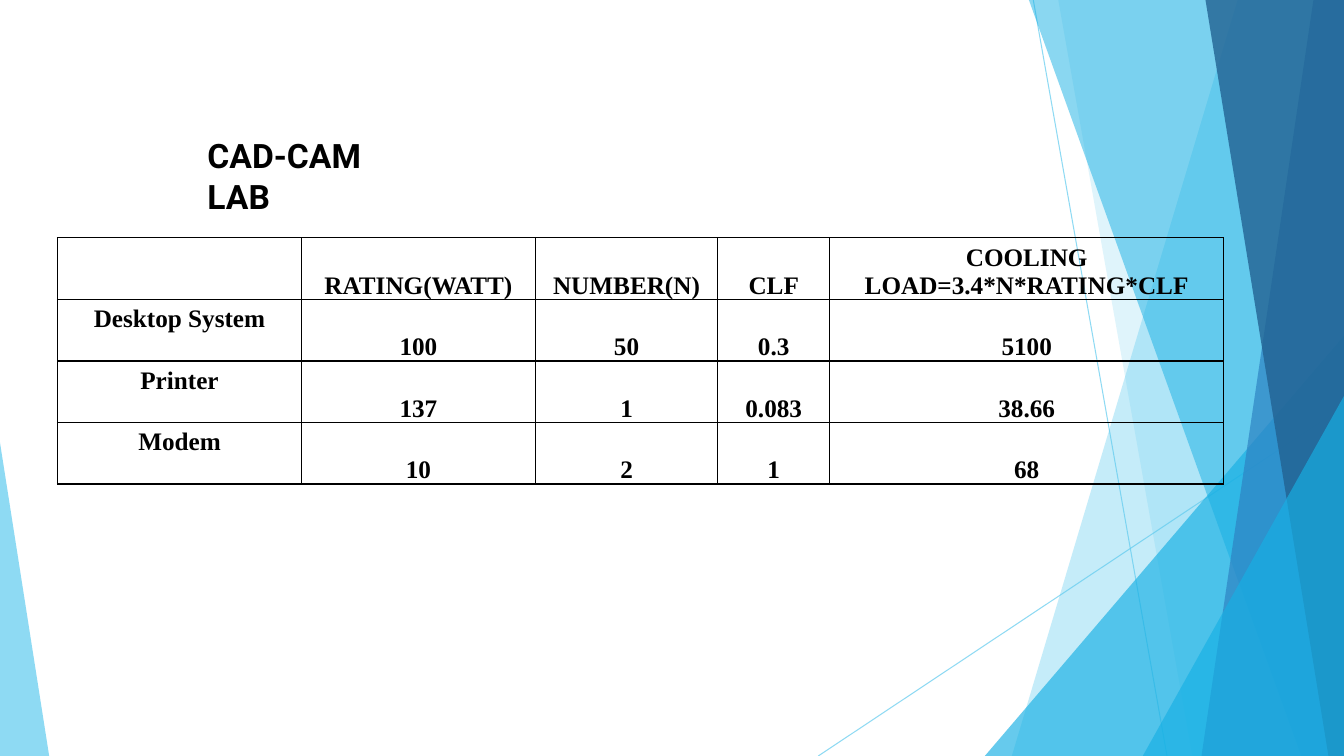
from lxml.etree import SubElement
from pptx import Presentation
from pptx.dml.color import RGBColor
from pptx.enum.shapes import MSO_CONNECTOR, MSO_SHAPE
from pptx.enum.text import MSO_ANCHOR as Anchor, PP_ALIGN as Align
from pptx.oxml.ns import qn
from pptx.util import Cm, Pt

WIDTH, HEIGHT = 33.87, 19.05
SKY, CYAN, BLUE, NAVY, BLACK = "5FCBEF", "17B0E4", "2E83C3", "226292", "000000"

COLUMN_WIDTHS = [6.15, 5.89, 4.6, 2.82, 9.93]
ROW_HEIGHT = 1.55
LOADS = [
    ["", "RATING(WATT)", "NUMBER(N)", "CLF", "COOLING LOAD=3.4*N*RATING*CLF"],
    ["Desktop System", "100", "50", "0.3", "5100"],
    ["Printer", "137", "1", "0.083", "38.66"],
    ["Modem", "10", "2", "1", "68"],
]


def set_color(fill, color, opacity=100):
    """Make a fill solid, with opacity in percent."""
    fill.solid()
    fill.fore_color.rgb = RGBColor.from_string(color)
    if opacity < 100:
        tint = fill._xPr.find(f"{qn('a:solidFill')}/{qn('a:srgbClr')}")
        SubElement(tint, qn("a:alpha"), val=str(opacity * 1000))


def paint(shape, color, opacity):
    shape.shadow.inherit = False
    shape.line.fill.background()
    set_color(shape.fill, color, opacity)


def add_ray(page, start, end):
    ray = page.shapes.add_connector(
        MSO_CONNECTOR.STRAIGHT, *map(Cm, start), *map(Cm, end))
    ray.line.width = Pt(0.75)
    set_color(ray.line.fill, SKY, 70)
    SubElement(ray._element.spPr, qn("a:effectLst"))


def add_band(page, top_left, bottom_left, color, opacity):
    """Draw a full-height band from a slanted left edge to the slide's right edge."""
    corners = [(top_left, 0), (WIDTH, 0), (WIDTH, HEIGHT), (bottom_left, HEIGHT)]
    points = [(Cm(x), Cm(y)) for x, y in corners]
    builder = page.shapes.build_freeform(*points[0])
    builder.add_line_segments(points[1:], close=True)
    paint(builder.convert_to_shape(), color, opacity)


def add_wedge(page, left, top, width, apex, color, opacity):
    """Draw a triangle standing on the slide's bottom; apex 0 is left, 1 is right."""
    wedge = page.shapes.add_shape(
        MSO_SHAPE.ISOSCELES_TRIANGLE, Cm(left), Cm(top), Cm(width), Cm(HEIGHT - top))
    wedge.adjustments[0] = apex
    paint(wedge, color, opacity)


def write(frame, text, font, size, align=Align.LEFT):
    frame.word_wrap = True
    para = frame.paragraphs[0]
    para.alignment = align
    span = para.add_run()
    span.text = text
    span.font.name = font
    span.font.size = Pt(size)
    span.font.bold = True
    span.font.color.rgb = RGBColor.from_string(BLACK)


def add_borders(cell):
    properties = cell._tc.get_or_add_tcPr()
    for side in ("lnL", "lnR", "lnT", "lnB"):
        border = SubElement(properties, qn(f"a:{side}"), w=str(Pt(1)))
        solid = SubElement(border, qn("a:solidFill"))
        SubElement(solid, qn("a:srgbClr"), val=BLACK)


def add_load_table(page, left, top):
    frame = page.shapes.add_table(
        len(LOADS), len(COLUMN_WIDTHS), Cm(left), Cm(top),
        Cm(sum(COLUMN_WIDTHS)), Cm(ROW_HEIGHT * len(LOADS)))
    table = frame.table
    table.first_row = table.horz_banding = False
    for column, width in zip(table.columns, COLUMN_WIDTHS):
        column.width = Cm(width)
    for row, values in zip(table.rows, LOADS):
        row.height = Cm(ROW_HEIGHT)
        for index, (cell, value) in enumerate(zip(row.cells, values)):
            is_label = index == 0
            cell.margin_left = cell.margin_right = Cm(0.03)
            cell.margin_top = Cm(0.15 if is_label else 0.03)
            cell.margin_bottom = 0
            cell.vertical_anchor = Anchor.TOP if is_label else Anchor.BOTTOM
            add_borders(cell)
            cell.fill.background()
            if value:
                write(cell.text_frame, value, "Times New Roman", 18, align=Align.CENTER)


def add_backdrop(page):
    add_ray(page, (26.04, 0), (29.41, HEIGHT))
    add_ray(page, (WIDTH, 10.24), (20.62, HEIGHT))
    add_band(page, 31.19, 25.5, SKY, 36)
    add_band(page, 26.67, 30.05, SKY, 20)
    add_wedge(page, 24.82, 8.46, 9.05, 1, CYAN, 66)
    add_band(page, 25.93, 32.79, CYAN, 50)
    add_band(page, 33.1, 30.28, BLUE, 70)
    add_band(page, 30.38, 33.48, NAVY, 80)
    add_wedge(page, 28.8, 9.98, 5.07, 1, CYAN, 66)
    add_wedge(page, 0, 11.15, 1.24, 0, SKY, 70)


def main():
    deck = Presentation()
    deck.slide_width, deck.slide_height = Cm(WIDTH), Cm(HEIGHT)
    page = deck.slides.add_slide(deck.slide_layouts[6])
    add_backdrop(page)
    title = page.shapes.add_textbox(Cm(4.98), Cm(3.28), Cm(5.82), Cm(1.27))
    write(title.text_frame, "CAD-CAM LAB", "Roboto", 24)
    add_load_table(page, 1.45, 5.99)
    deck.save("out.pptx")


if __name__ == "__main__":
    main()
